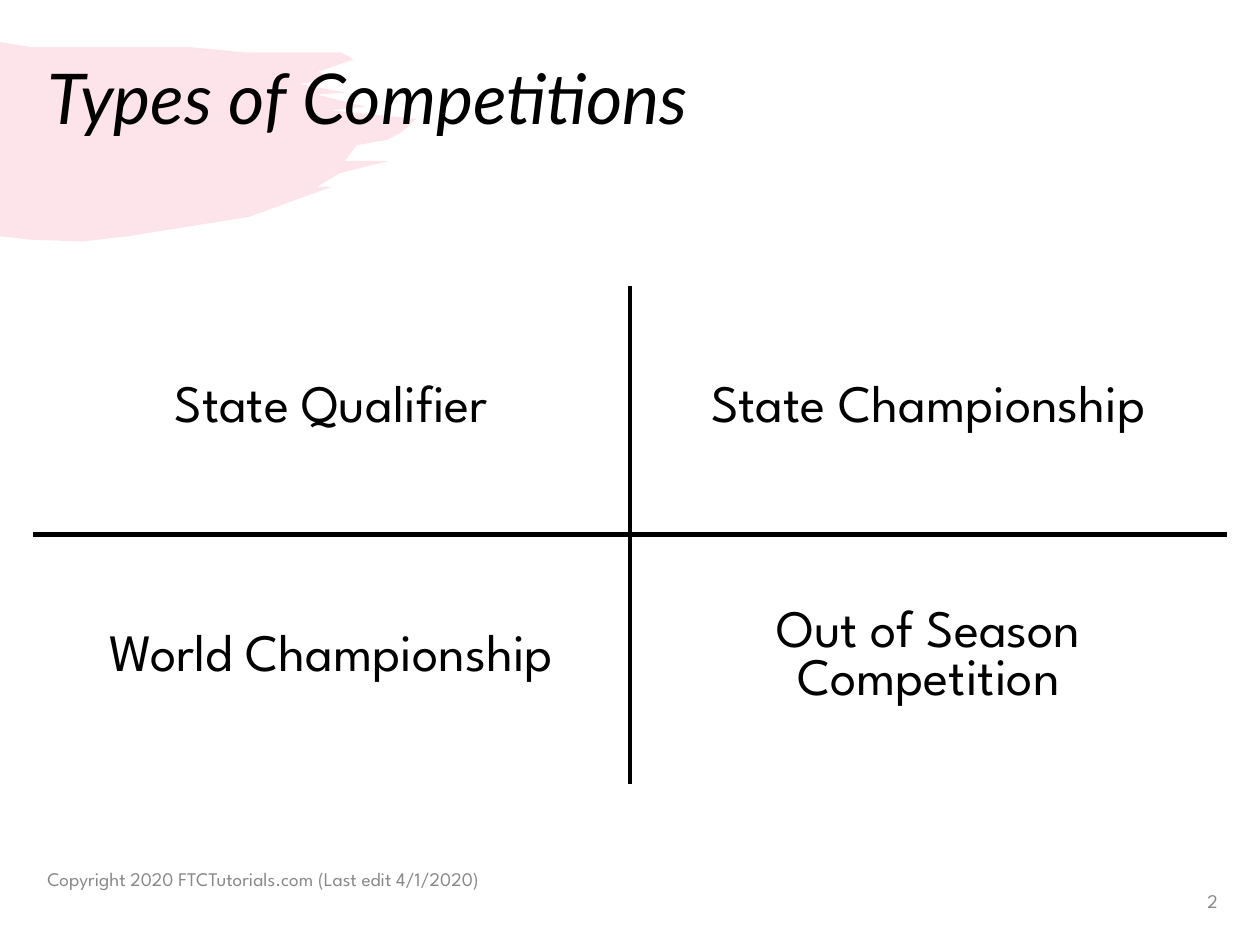
from dataclasses import dataclass

from lxml import etree
from pptx import Presentation
from pptx import util as u
from pptx.dml.color import RGBColor
from pptx.enum import text
from pptx.oxml.ns import qn

HUES = {"ink": "000000", "note": "888888", "brush": "F07C98"}
HEAD, BODY = "Lato", "League Spartan"
ALIGN = text.PP_ALIGN
BRUSH = [
    (0, 24), (18, 27), (73, 27), (109, 27), (140, 30), (179, 30), (195, 30),
    (202, 34), (182, 41), (189, 45), (171, 48), (198, 53), (181, 54),
    (197, 58), (209, 61), (189, 63), (238, 68), (229, 76), (221, 80),
    (204, 83), (197, 92), (222, 92), (194, 99), (181, 107), (189, 107),
    (142, 124), (73, 135), (47, 138), (17, 137), (0, 135),
]


@dataclass
class Label:
    words: str
    left: float
    top: float
    width: float
    align: ALIGN


NOTES = [
    Label("Copyright 2020 FTCTutorials.com (Last edit 4/1/2020)",
          20, 488, 324, ALIGN.LEFT),
    Label("2", 662, 500.4, 41, ALIGN.RIGHT),
]
CELLS = [
    ["State Qualifier", "State Championship"],
    ["World Championship", "Out of Season Competition"],
]


def style(para, font: str, size: float, hue: str, **more) -> None:
    vals = {"name": font, "size": u.Pt(size), **more}
    for key, val in vals.items():
        setattr(para.font, key, val)
    para.font.color.rgb = RGBColor.from_string(HUES[hue])


def add_brush(slide) -> None:
    form = slide.shapes.build_freeform(*BRUSH[0], scale=u.Pt(1))
    form.add_line_segments(BRUSH[1:], close=True)
    brush = form.convert_to_shape()
    brush.shadow.inherit = False
    brush.line.fill.background()
    brush.fill.solid()
    brush.fill.fore_color.rgb = RGBColor.from_string(HUES["brush"])
    tint = brush.element.spPr.find(".//" + qn("a:srgbClr"))
    etree.SubElement(tint, qn("a:alpha"), val="20000")
    slide.shapes.title.element.addprevious(brush.element)


def add_title(slide) -> None:
    title = slide.shapes.title
    box = {"left": 20, "top": 28.8, "width": 682, "height": 58.3}
    for key, val in box.items():
        setattr(title, key, u.Pt(val))
    frame = title.text_frame
    frame.text = "Types of Competitions"
    frame.vertical_anchor = text.MSO_ANCHOR.MIDDLE
    para = frame.paragraphs[0]
    para.alignment = ALIGN.LEFT
    para.line_spacing = 0.9
    style(para, HEAD, 40, "ink", italic=True)


def add_edges(cell, inner: set) -> None:
    props = cell._tc.get_or_add_tcPr()
    for side in "LRTB":
        line = etree.SubElement(props, qn("a:ln" + side), w=str(u.Pt(3)))
        if side in inner:
            fill = etree.SubElement(line, qn("a:solidFill"))
            etree.SubElement(fill, qn("a:srgbClr"), val=HUES["ink"])
        else:
            etree.SubElement(line, qn("a:noFill"))


def add_grid(slide) -> None:
    box = [u.Pt(val) for val in (18.7, 163.4, 682.6, 284.4)]
    grid = slide.shapes.add_table(2, 2, *box).table
    grid.first_row = grid.horz_banding = False
    pad = ("margin_left", "margin_right", "margin_top", "margin_bottom")
    for r, row in enumerate(CELLS):
        for c, words in enumerate(row):
            cell = grid.cell(r, c)
            cell.text = words
            cell.vertical_anchor = text.MSO_ANCHOR.MIDDLE
            for key in pad:
                setattr(cell, key, u.Pt(7.2))
            add_edges(cell, {"RL"[c], "BT"[r]})
            cell.fill.background()
            para = cell.text_frame.paragraphs[0]
            para.alignment = ALIGN.CENTER
            style(para, BODY, 30, "ink")


def add_note(slide, note: Label) -> None:
    box = [u.Pt(val) for val in (note.left, note.top, note.width, 28.8)]
    frame = slide.shapes.add_textbox(*box).text_frame
    frame.word_wrap = True
    frame.vertical_anchor = text.MSO_ANCHOR.MIDDLE
    frame.text = note.words
    para = frame.paragraphs[0]
    para.alignment = note.align
    style(para, BODY, 11, "note")


def main() -> None:
    deck = Presentation()
    deck.slide_width, deck.slide_height = u.Pt(720), u.Pt(540)
    slide = deck.slides.add_slide(deck.slide_layouts.get_by_name("Title Only"))
    add_brush(slide)
    add_title(slide)
    add_grid(slide)
    for note in NOTES:
        add_note(slide, note)
    deck.save("out.pptx")


if __name__ == "__main__":
    main()
